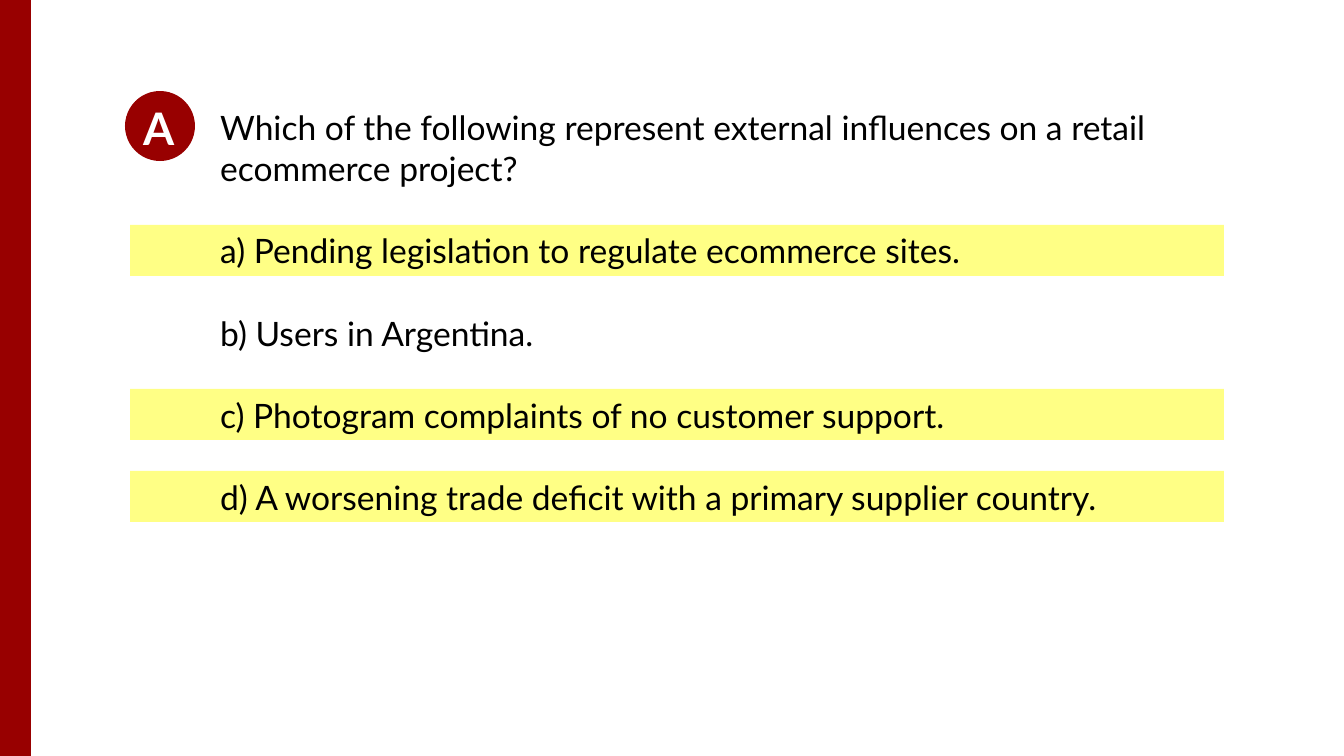
from pptx import Presentation, util as u
from pptx.dml.color import RGBColor
from pptx.enum import shapes, text
from pptx.oxml.ns import qn
from lxml import etree

RED = RGBColor(0x98, 0x00, 0x00)
YELLOW = RGBColor(0xFF, 0xFF, 0x00)
BLACK = RGBColor(0x00, 0x00, 0x00)
WHITE = RGBColor(0xFF, 0xFF, 0xFF)

SCALE = 914400 / 134.4
WIDE, HIGH = 1344, 756
FIRST, STEP = 225, 82  # top of the first answer bar, distance between answers

QUESTION = ("Which of the following represent external influences "
            "on a retail ecommerce project?")
ANSWERS = [  # wording, is it correct
    ("a) Pending legislation to regulate ecommerce sites.", True),
    ("b) Users in Argentina.", False),
    ("c) Photogram complaints of no customer support.", True),
    ("d) A worsening trade deficit with a primary supplier country.", True),
]


def px(*vals):
    return [u.Emu(round(v * SCALE)) for v in vals]


def write(frame, lines, size=18, color=BLACK, bold=False, lead=None, gap=0):
    """Put one paragraph per line; lead and gap are in points."""
    for i, line in enumerate(lines):
        para = frame.paragraphs[0] if i == 0 else frame.add_paragraph()
        para.alignment = text.PP_ALIGN.LEFT
        if lead:
            para.line_spacing = u.Pt(lead)
        para.space_after = u.Pt(gap)
        run = para.add_run()
        run.text = line
        font = run.font
        font.name, font.size, font.bold = "Lato", u.Pt(size), bold
        font.color.rgb = color


class Page:
    def __init__(self, slide):
        self.slide = slide

    def shape(self, kind, box, color, alpha=100):
        item = self.slide.shapes.add_shape(kind, *px(*box))
        item.shadow.inherit = False
        item.line.fill.background()
        item.fill.solid()
        item.fill.fore_color.rgb = color
        if alpha < 100:
            tint = item.fill._xPr.find(qn("a:solidFill"))[0]
            etree.SubElement(tint, qn("a:alpha"), val=str(alpha * 1000))

    def bar(self, box, color, alpha=100):
        self.shape(shapes.MSO_SHAPE.RECTANGLE, box, color, alpha)

    def disc(self, box, color):
        self.shape(shapes.MSO_SHAPE.OVAL, box, color)

    def text(self, box, lines, **style):
        frame = self.slide.shapes.add_textbox(*px(*box)).text_frame
        frame.word_wrap = True
        frame.vertical_anchor = text.MSO_ANCHOR.TOP
        frame.margin_left = frame.margin_right = u.Inches(0.1)
        frame.margin_top = frame.margin_bottom = u.Inches(0.1)
        write(frame, lines, **style)


def main():
    deck = Presentation()
    deck.slide_width, deck.slide_height = px(WIDE, HIGH)
    page = Page(deck.slides.add_slide(deck.slide_layouts[6]))

    for i, (_, right) in enumerate(ANSWERS):
        if right:
            page.bar((130, FIRST + i * STEP, 1094, 51), YELLOW, alpha=48)
    lines = [QUESTION] + [line for line, _ in ANSWERS]
    page.text((207, 93, 992, 551), lines, lead=22, gap=22)

    page.bar((0, 0, 31, HIGH), RED)
    page.disc((125, 91, 70, 70), RED)
    page.text((130, 87, 70, 79), ["A"], size=24, color=WHITE, bold=True)

    deck.save("out.pptx")


if __name__ == "__main__":
    main()
